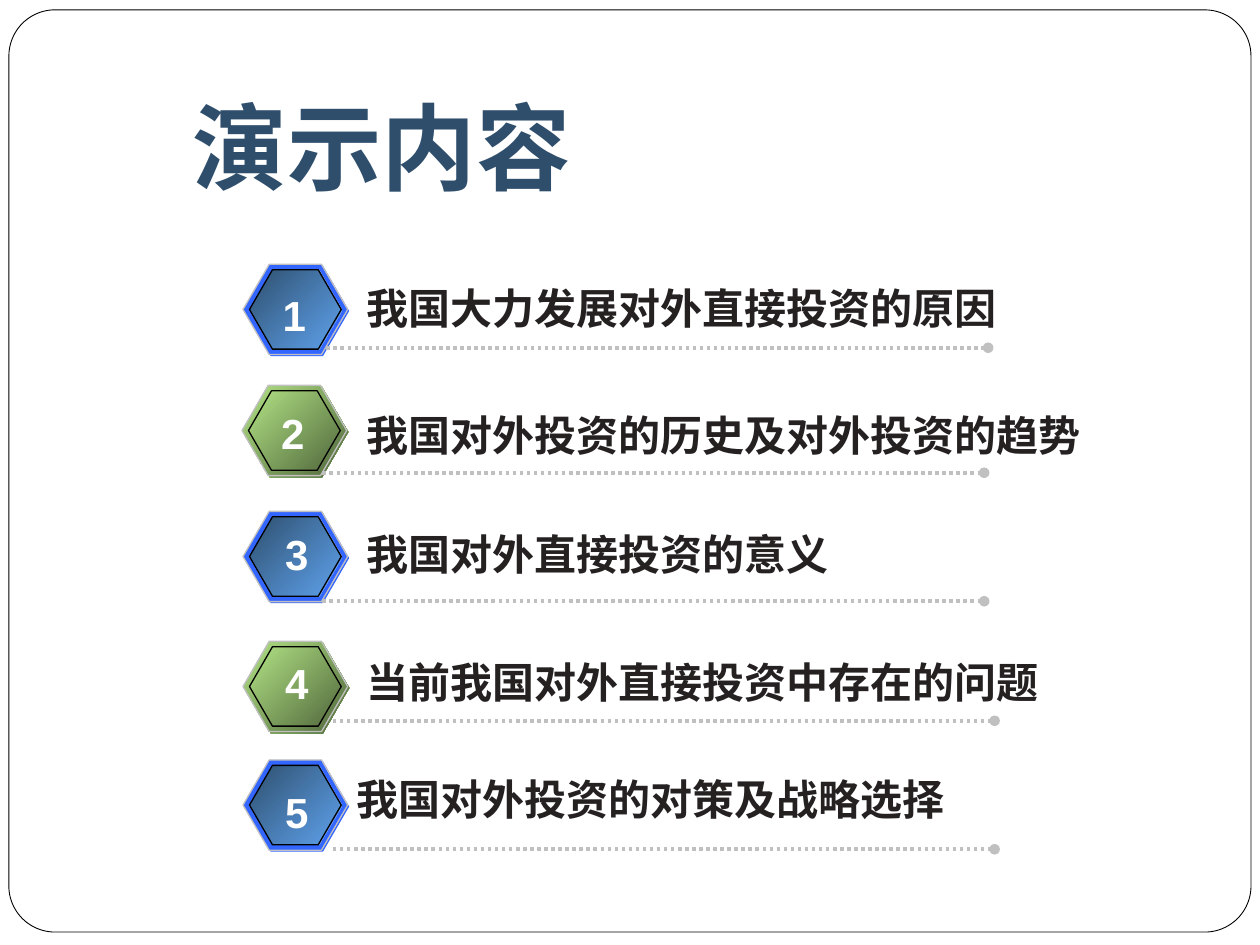
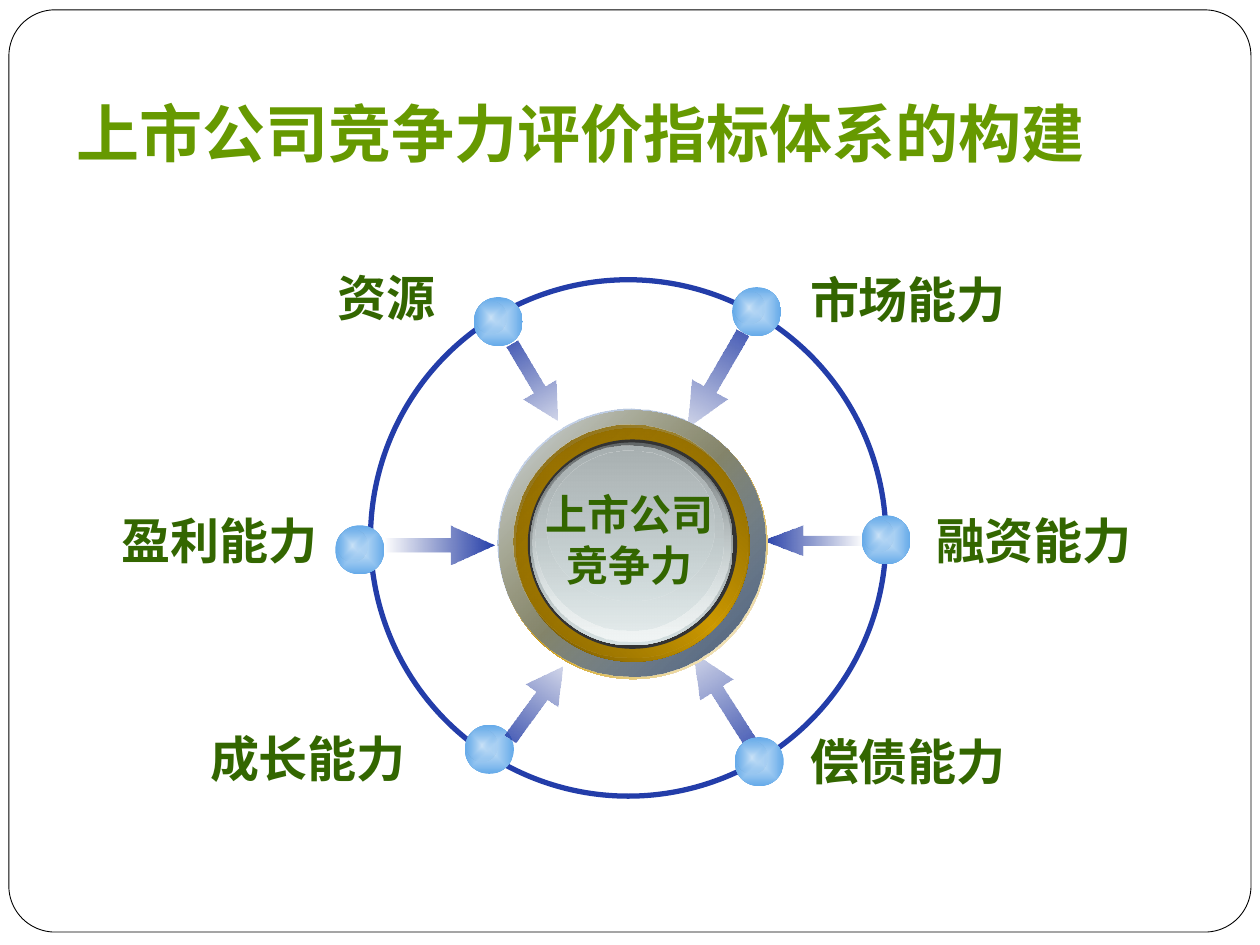
"""Build two slides: a numbered agenda and a competitiveness wheel."""
from dataclasses import dataclass
from typing import NamedTuple, Optional, Union

from lxml import etree
from pptx import Presentation
from pptx.dml.color import RGBColor
from pptx.enum.dml import MSO_LINE
from pptx.enum.shapes import MSO_CONNECTOR, MSO_SHAPE
from pptx.enum.text import MSO_ANCHOR, PP_ALIGN
from pptx.oxml.ns import qn
from pptx.shapes.autoshape import Shape
from pptx.slide import Slide
from pptx.util import Cm, Pt

HEXAGON, ELLIPSE = MSO_SHAPE.HEXAGON, MSO_SHAPE.OVAL
ARROW, ROUNDED = MSO_SHAPE.RIGHT_ARROW, MSO_SHAPE.ROUNDED_RECTANGLE
STRAIGHT, DOTTED = MSO_CONNECTOR.STRAIGHT, MSO_LINE.ROUND_DOT
LEFT, CENTER, RIGHT = PP_ALIGN.LEFT, PP_ALIGN.CENTER, PP_ALIGN.RIGHT
TOP, BOTTOM = MSO_ANCHOR.TOP, MSO_ANCHOR.BOTTOM

CJK_FONT = "Noto Sans CJK SC"
WHITE, BLACK, SILVER = "FFFFFF", "000000", "C0C0C0"
NAVY, SKY, ROYAL, RING_BLUE = "2E4E6C", "65AAE9", "3366FF", "233DA9"
INK, FOREST, LEAF, GOLD = "252121", "336600", "669900", "CC9900"
PALE, MIST, GREY = "CBE3F8", "D6E1E2", "AAB2B3"


class Stop(NamedTuple):
    """A gradient stop: position and opacity in percent."""
    position: int
    color: str
    opacity: int = 100


@dataclass(frozen=True)
class Gradient:
    """A linear gradient, or one from the centre when it has no angle."""
    stops: tuple[Stop, ...]
    angle: Optional[int] = None


class Frame(NamedTuple):
    """A rectangle in centimetres."""
    left: float
    top: float
    width: float
    height: float


class TextStyle(NamedTuple):
    """Type settings of a text box."""
    size: int
    color: str
    font: str = CJK_FONT
    align: PP_ALIGN = LEFT
    anchor: MSO_ANCHOR = TOP


class AgendaRow(NamedTuple):
    """One agenda entry with the places of its parts."""
    text: str
    badge: tuple[float, float]
    number: tuple[float, float]
    label: tuple[float, float]
    rule: tuple[float, float]


class Arrow(NamedTuple):
    """An arrow towards the hub."""
    frame: Frame
    rotation: float
    head: float
    fades_to_head: bool = True


class Factor(NamedTuple):
    """A factor label; edge is the side next to the wheel."""
    text: str
    edge: float
    top: float
    align: PP_ALIGN


Fill = Union[str, Gradient, None]


def two_tone(first: str, last: str, angle: Optional[int] = None,
             first_opacity: int = 100, last_opacity: int = 100) -> Gradient:
    """Return a gradient between two colours."""
    return Gradient((Stop(0, first, first_opacity), Stop(100, last, last_opacity)), angle)


def three_tone(edge: str, middle: str, angle: int) -> Gradient:
    """Return a gradient with the same colour at both ends."""
    return Gradient((Stop(0, edge), Stop(50, middle), Stop(100, edge)), angle)


BLUE_FACE = two_tone(NAVY, SKY, 45, last_opacity=87)
GREEN_FACE = two_tone("B2E385", "52693D", 45)
BALL, BALL_GLOSS = two_tone(PALE, SKY), two_tone(PALE, SKY, last_opacity=0)
HEAD_FADE = two_tone("1F3697", RING_BLUE, 180, 20, 85)
TAIL_FADE = two_tone("1F3697", RING_BLUE, 0, 0)

AGENDA_TITLE = TextStyle(54, NAVY, anchor=BOTTOM)
WHEEL_TITLE = TextStyle(36, LEAF, "Cabin", anchor=BOTTOM)
NUMBER = TextStyle(24, WHITE, "Arial", CENTER)
ENTRY = TextStyle(24, INK, "Arial")
HUB = TextStyle(24, FOREST, "Arial", CENTER)

AGENDA = (
    AgendaRow("我国大力发展对外直接投资的原因", (4.9, 5.33), (5.34, 5.72), (7.14, 5.56), (6.58, 7.01)),
    AgendaRow("我国对外投资的历史及对外投资的趋势", (4.88, 7.77), (5.31, 8.08), (7.14, 8.13), (6.5, 9.53)),
    AgendaRow("我国对外直接投资的意义", (4.9, 10.31), (5.39, 10.52), (7.14, 10.52), (6.5, 12.12)),
    AgendaRow("当前我国对外直接投资中存在的问题", (4.9, 12.93), (5.39, 13.13), (7.14, 13.11), (6.71, 14.53)),
    AgendaRow("我国对外投资的对策及战略选择", (4.9, 15.32), (5.39, 15.72), (6.93, 15.47), (6.71, 17.12)),
)
RULE_LENGTH = 13.34

RING = Frame(7.47, 5.64, 10.39, 10.41)
HUB_DISCS: tuple[tuple[Frame, Fill], ...] = (
    (Frame(10.06, 8.28, 5.41, 5.41), three_tone(WHITE, GOLD, 45)),
    (Frame(10.03, 8.23, 5.41, 5.41), two_tone("7DA0D3", "435672", 45, 32)),
    (Frame(10.41, 8.64, 4.7, 4.7), three_tone("6E5300", GOLD, 315)),
    (Frame(10.36, 8.56, 4.7, 4.7), two_tone("826100", GOLD, 45, last_opacity=0)),
    (Frame(10.64, 8.86, 4.22, 4.22), "333333"),
    (Frame(10.69, 8.92, 4.09, 4.09), two_tone("636869", MIST, 90)),
    (Frame(10.74, 8.94, 3.99, 3.99), two_tone(MIST, "F1F5F5", 90, 0)),
    (Frame(10.8, 8.99, 3.78, 3.73), two_tone(GREY, MIST, 90, last_opacity=48)),
    (Frame(11.02, 9.09, 3.38, 3.02), two_tone(GREY, MIST, 90, last_opacity=38)),
)
RIGHT_ARROWS = (
    Arrow(Frame(13.31, 7.26, 2.21, 0.81), 119.6, 1.11),
    Arrow(Frame(13.46, 13.69, 2.21, 0.79), 237.8, 1.12),
    Arrow(Frame(15.37, 10.59, 2.01, 0.61), 180, 1.34, False),
)
LEFT_ARROWS = (
    Arrow(Frame(9.91, 13.77, 1.8, 0.79), 305.6, 0.92),
    Arrow(Frame(7.75, 10.59, 2.21, 0.79), 0, 1.12, False),
    Arrow(Frame(9.88, 7.32, 1.8, 0.76), 59.5, 0.96),
)
BALLS = ((14.81, 14.86), (17.37, 10.39), (14.76, 5.79),
         (9.55, 5.99), (6.76, 10.59), (9.37, 14.61))
FACTORS = (
    Factor("资源", 9.02, 5.26, RIGHT),
    Factor("市场能力", 16.08, 5.3, LEFT),
    Factor("融资能力", 18.62, 10.16, LEFT),
    Factor("偿债能力", 16.08, 14.62, LEFT),
    Factor("盈利能力", 6.65, 10.16, RIGHT),
    Factor("成长能力", 8.43, 14.57, RIGHT),
)
FACTOR_WIDTH = 4.8


def rgb(color: str) -> RGBColor:
    """Turn a hex string into a colour."""
    return RGBColor.from_string(color)


def apply_gradient(shape: Shape, gradient: Gradient) -> None:
    """Fill a shape with a gradient."""
    shape.fill.background()
    old_fill = shape._element.spPr.find(qn("a:noFill"))
    new_fill = etree.Element(qn("a:gradFill"), rotWithShape="1")
    stops = etree.SubElement(new_fill, qn("a:gsLst"))
    for stop in gradient.stops:
        mark = etree.SubElement(stops, qn("a:gs"), pos=str(stop.position * 1000))
        color = etree.SubElement(mark, qn("a:srgbClr"), val=stop.color)
        if stop.opacity < 100:
            etree.SubElement(color, qn("a:alpha"), val=str(stop.opacity * 1000))
    if gradient.angle is None:
        center = etree.SubElement(new_fill, qn("a:path"), path="rect")
        etree.SubElement(center, qn("a:fillToRect"), l="50000", t="50000", r="50000", b="50000")
    else:
        etree.SubElement(new_fill, qn("a:lin"), ang=str(gradient.angle * 60000), scaled="0")
    shape._element.spPr.replace(old_fill, new_fill)


def add_figure(page: Slide, kind: MSO_SHAPE, frame: Frame, fill: Fill, line: Optional[str] = None,
               weight: float = 0.75, adjustments: tuple[float, ...] = ()) -> Shape:
    """Draw a preset shape."""
    shape = page.shapes.add_shape(kind, *map(Cm, frame))
    shape.shadow.inherit = False
    for index, value in enumerate(adjustments):
        shape.adjustments[index] = value
    if isinstance(fill, Gradient):
        apply_gradient(shape, fill)
    elif fill:
        shape.fill.solid()
        shape.fill.fore_color.rgb = rgb(fill)
    else:
        shape.fill.background()
    if line:
        shape.line.color.rgb = rgb(line)
        shape.line.width = Pt(weight)
    else:
        shape.line.fill.background()
    return shape


def add_text(page: Slide, frame: Frame, text: str, style: TextStyle,
             inset: float = 0.25, bottom: float = 0.13) -> None:
    """Write one bold paragraph in a text box."""
    box = page.shapes.add_textbox(*map(Cm, frame)).text_frame
    box.word_wrap = True
    box.vertical_anchor = style.anchor
    box.margin_left, box.margin_bottom = Cm(inset), Cm(bottom)
    para = box.paragraphs[0]
    para.alignment = style.align
    span = para.add_run()
    span.text = text
    span.font.size, span.font.bold = Pt(style.size), True
    span.font.color.rgb = rgb(style.color)
    span.font.name = style.font
    etree.SubElement(span.font._element, qn("a:ea"), typeface=CJK_FONT)


def add_rule(page: Slide, left: float, top: float) -> None:
    """Draw a dotted line that ends in a dot."""
    rule = page.shapes.add_connector(STRAIGHT, Cm(left), Cm(top), Cm(left + RULE_LENGTH), Cm(top))
    rule.line.color.rgb = rgb(SILVER)
    rule.line.width = Pt(2)
    rule.line.dash_style = DOTTED
    etree.SubElement(rule.line._ln, qn("a:tailEnd"), type="oval")
    etree.SubElement(rule._element.spPr, qn("a:effectLst"))


def add_page(deck: Presentation, title: str, frame: Frame, style: TextStyle,
             inset: float = 0.25) -> Slide:
    """Add a page with the rounded border and a title."""
    page = deck.slides.add_slide(deck.slide_layouts[6])
    add_figure(page, ROUNDED, Frame(0.18, 0.2, 25.04, 18.59), WHITE, BLACK, 0.5, (0.05,))
    add_text(page, frame, title, style, inset, 0.25)
    return page


def add_badge(page: Slide, left: float, top: float, rim: Fill, face: Fill) -> None:
    """Draw a layered hexagon."""
    layers = (
        (Frame(left + 0.03, top + 0.03, 2.11, 1.82), rim, None),
        (Frame(left, top, 2.11, 1.82), rim, SILVER),
        (Frame(left + 0.13, top + 0.11, 1.85, 1.6), face, BLACK),
    )
    for frame, fill, line in layers:
        add_figure(page, HEXAGON, frame, fill, line, adjustments=(0.29,))


def add_arrows(page: Slide, arrows: tuple[Arrow, ...]) -> None:
    """Draw fading arrows."""
    for arrow in arrows:
        fill = HEAD_FADE if arrow.fades_to_head else TAIL_FADE
        shape = add_figure(page, ARROW, arrow.frame, fill, adjustments=(0.35, arrow.head))
        shape.rotation = arrow.rotation


def build_agenda(deck: Presentation) -> None:
    """Build the numbered agenda."""
    page = add_page(deck, "演示内容", Frame(1.5, 1.52, 22.86, 2.82), AGENDA_TITLE, 2.39)
    for number, row in enumerate(AGENDA, 1):
        rim, face = (ROYAL, BLUE_FACE) if number % 2 else (GREEN_FACE, GREEN_FACE)
        add_badge(page, *row.badge, rim, face)
        add_rule(page, *row.rule)
        add_text(page, Frame(*row.number, 1.19, 1.27), str(number), NUMBER)
        add_text(page, Frame(*row.label, 16.5, 1.27), row.text, ENTRY)


def build_wheel(deck: Presentation) -> None:
    """Build the wheel of factors around the hub."""
    page = add_page(deck, "上市公司竞争力评价指标体系的构建",
                    Frame(1.3, 1.73, 23.72, 1.96), WHEEL_TITLE)
    add_arrows(page, RIGHT_ARROWS)
    add_figure(page, ELLIPSE, RING, None, RING_BLUE, 3)
    for frame, fill in HUB_DISCS:
        add_figure(page, ELLIPSE, frame, fill)
    add_text(page, Frame(10.69, 9.73, 3.99, 2.29), "上市公司竞争力", HUB)
    for factor in FACTORS:
        left = factor.edge - FACTOR_WIDTH if factor.align == RIGHT else factor.edge
        add_text(page, Frame(left, factor.top, FACTOR_WIDTH, 1.45), factor.text,
                 TextStyle(28, FOREST, align=factor.align))
    for left, top in BALLS:
        add_figure(page, ELLIPSE, Frame(left, top, 0.99, 0.99), BALL)
        add_figure(page, ELLIPSE, Frame(left + 0.04, top + 0.09, 0.61, 0.64), BALL_GLOSS)
    add_arrows(page, LEFT_ARROWS)


def main() -> None:
    """Build and save the deck."""
    deck = Presentation()
    deck.slide_width, deck.slide_height = Cm(25.4), Cm(19.05)
    build_agenda(deck)
    build_wheel(deck)
    deck.save("out.pptx")


if __name__ == "__main__":
    main()
